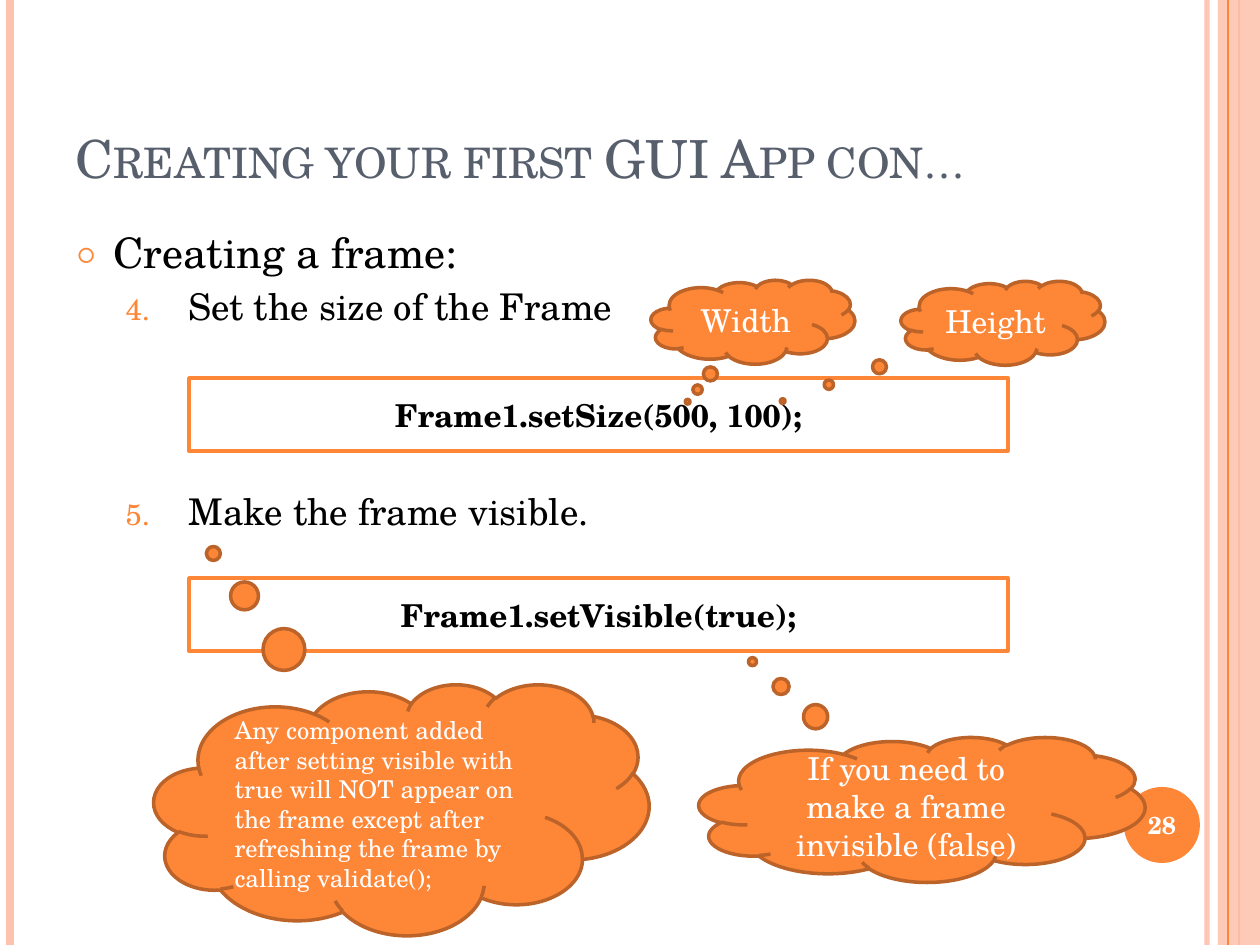
import pptx
import pptx.dml.color
import pptx.enum.shapes
import pptx.enum.text
import pptx.oxml
import pptx.oxml.ns
import pptx.util
import lxml.etree

PX = 914400 / 126
FONT = "TeX Gyre Schola"
COLORS = {
    "orange": "FE8637",
    "rust": "BC6329",
    "peach": "FEC3AE",
    "slate": "575F6D",
    "black": "000000",
    "white": "FFFFFF",
}
SHAPE = pptx.enum.shapes.MSO_SHAPE
ALIGN = pptx.enum.text.PP_ALIGN
ANCHOR = pptx.enum.text.MSO_ANCHOR


def emu(px):
    """Convert pixels to EMU."""
    return pptx.util.Emu(round(px * PX))


def rgb(name):
    """Look up a palette colour."""
    return pptx.dml.color.RGBColor.from_string(COLORS[name])


def add_xml(parent, tag, **attributes):
    """Append a DrawingML element to a parent."""
    values = {key: str(value) for key, value in attributes.items()}
    return lxml.etree.SubElement(parent, pptx.oxml.ns.qn("a:" + tag), values)


def set_alpha(properties, percent):
    """Make the solid colour inside some properties translucent."""
    color = properties.find(".//" + pptx.oxml.ns.qn("a:srgbClr"))
    add_xml(color, "alpha", val=percent * 1000)


def style_text(paragraph, size, color, bold=False, align=ALIGN.LEFT):
    """Set the font and alignment of a whole paragraph."""
    paragraph.alignment = align
    paragraph.font.name = FONT
    paragraph.font.size = pptx.util.Pt(size)
    paragraph.font.bold = bold
    paragraph.font.color.rgb = rgb(color)


def place(part, box):
    """Move a placeholder to a box."""
    part.left, part.top, part.width, part.height = map(emu, box)


def add_block(slide, kind, box, fill, line=None):
    """Add a flat preset shape, outlined when a line colour is given."""
    block = slide.shapes.add_shape(kind, *map(emu, box))
    block.shadow.inherit = False
    block.fill.solid()
    block.fill.fore_color.rgb = rgb(fill)
    if line:
        block.line.color.rgb = rgb(line)
        block.line.width = pptx.util.Pt(2)
    else:
        block.line.fill.background()
    return block


def write(block, text, size, color, bold=False, align=ALIGN.CENTER):
    """Put one vertically centred paragraph into a shape."""
    frame = block.text_frame
    frame.word_wrap = True
    frame.vertical_anchor = ANCHOR.MIDDLE
    frame.text = text
    style_text(frame.paragraphs[0], size, color, bold, align)


def add_stripe(slide, x, height, color, width, alpha=100):
    """Draw one vertical stripe down the slide."""
    stripe = slide.shapes.add_connector(
        pptx.enum.shapes.MSO_CONNECTOR.STRAIGHT, emu(x), 0, emu(x), emu(height))
    stripe.line.color.rgb = rgb(color)
    stripe.line.width = pptx.util.Pt(width)
    properties = stripe._element.spPr
    add_xml(properties, "effectLst")
    if alpha < 100:
        set_alpha(properties, alpha)


def add_frame(slide, box):
    """Draw the striped side borders within the slide box."""
    left, top, width, height = box
    right = left + width
    add_stripe(slide, right - 53, height, "peach", 3, 93)
    add_stripe(slide, left + 10, height, "peach", 4.5)
    add_stripe(slide, right - 21, height, "orange", 1.5)
    band = add_block(slide, SHAPE.RECTANGLE, (right - 42, top, 42, height), "peach")
    set_alpha(band._element.spPr, 87)
    add_stripe(slide, right - 32, height, "orange", 0.75)


def add_page_number(slide, box, number):
    """Draw the round page number badge."""
    left, top, width, height = box
    add_block(slide, SHAPE.OVAL, box, "orange")
    label = slide.shapes.add_textbox(*map(emu, (left - 4, top + 2, width + 8, height - 4)))
    write(label, number, 14, "white", bold=True)


def fill_title(title, box, text):
    """Set the small-caps slide title."""
    place(title, box)
    frame = title.text_frame
    frame.auto_size = pptx.enum.text.MSO_AUTO_SIZE.NONE
    frame.vertical_anchor = ANCHOR.BOTTOM
    frame.text = text
    heading = frame.paragraphs[0]
    style_text(heading, 30, "slate")
    heading._p.pPr.find(pptx.oxml.ns.qn("a:defRPr")).set("cap", "small")


def fill_steps(body, box, steps):
    """Fill the body with a bulleted heading and numbered steps."""
    place(body, box)
    frame = body.text_frame
    frame.auto_size = pptx.enum.text.MSO_AUTO_SIZE.NONE
    for index, (text, level, size, before) in enumerate(steps):
        step = frame.add_paragraph() if index else frame.paragraphs[0]
        step.text = text
        step.level = level
        step.space_before = pptx.util.Pt(before)
        properties = step._p.get_or_add_pPr()
        margin, hang = ((38, 38), (113, 63))[level]
        properties.set("marL", str(emu(margin)))
        properties.set("indent", str(-emu(hang)))
        add_xml(add_xml(properties, "buClr"), "srgbClr", val=COLORS["orange"])
        add_xml(properties, "buSzPct", val=(70, 80)[level] * 1000)
        add_xml(properties, "buFont", typeface=FONT)
        if level:
            add_xml(properties, "buAutoNum", type="arabicPeriod", startAt=4)
        else:
            add_xml(properties, "buChar", char="○")
        style_text(step, size, "black")


def add_code(slide, box, code):
    """Draw an outlined box with one line of code."""
    write(add_block(slide, SHAPE.RECTANGLE, box, "white", "orange"), code, 18, "black", bold=True)


def add_cloud(slide, box, tail, text, size=18, align=ALIGN.CENTER):
    """Draw a thought cloud whose tail is an offset relative to its size."""
    cloud = add_block(slide, SHAPE.CLOUD_CALLOUT, box, "orange", "rust")
    cloud.adjustments[0], cloud.adjustments[1] = tail
    write(cloud, text, size, "white", align=align)


def main():
    """Build and save the slide."""
    deck = pptx.Presentation()
    deck.slide_width, deck.slide_height = emu(1260), emu(945)
    slide = deck.slides.add_slide(deck.slide_layouts[1])
    add_frame(slide, (0, 0, 1260, 945))
    add_page_number(slide, (1124, 787, 76, 76), "28")
    fill_title(slide.shapes.title, (63, 38, 1029, 157), "Creating your first GUI App con…")
    fill_steps(slide.placeholders[1], (63, 220, 1029, 672), [
        ("Creating a frame:", 0, 24, 6),
        ("Set the size of the Frame", 1, 21, 4),
        ("Make the frame visible.", 1, 21, 92),
    ])
    add_code(slide, (189, 378, 819, 73), "Frame1.setSize(500, 100);")
    add_cloud(slide, (651, 280, 204, 84), (-0.32, 0.95), "Width")
    add_cloud(slide, (901, 281, 204, 84), (-1.08, 0.93), "Height")
    add_code(slide, (189, 578, 819, 73), "Frame1.setVisible(true);")
    add_cloud(slide, (154, 684, 495, 251), (-0.38, -1.02),
              "Any component added after setting visible with true will NOT appear on "
              "the frame except after refreshing the frame by calling validate();",
              size=14, align=ALIGN.LEFT)
    add_cloud(slide, (699, 737, 446, 145), (-0.38, -1.02),
              "If you need to make a frame invisible (false)")
    deck.save("out.pptx")


if __name__ == "__main__":
    main()
